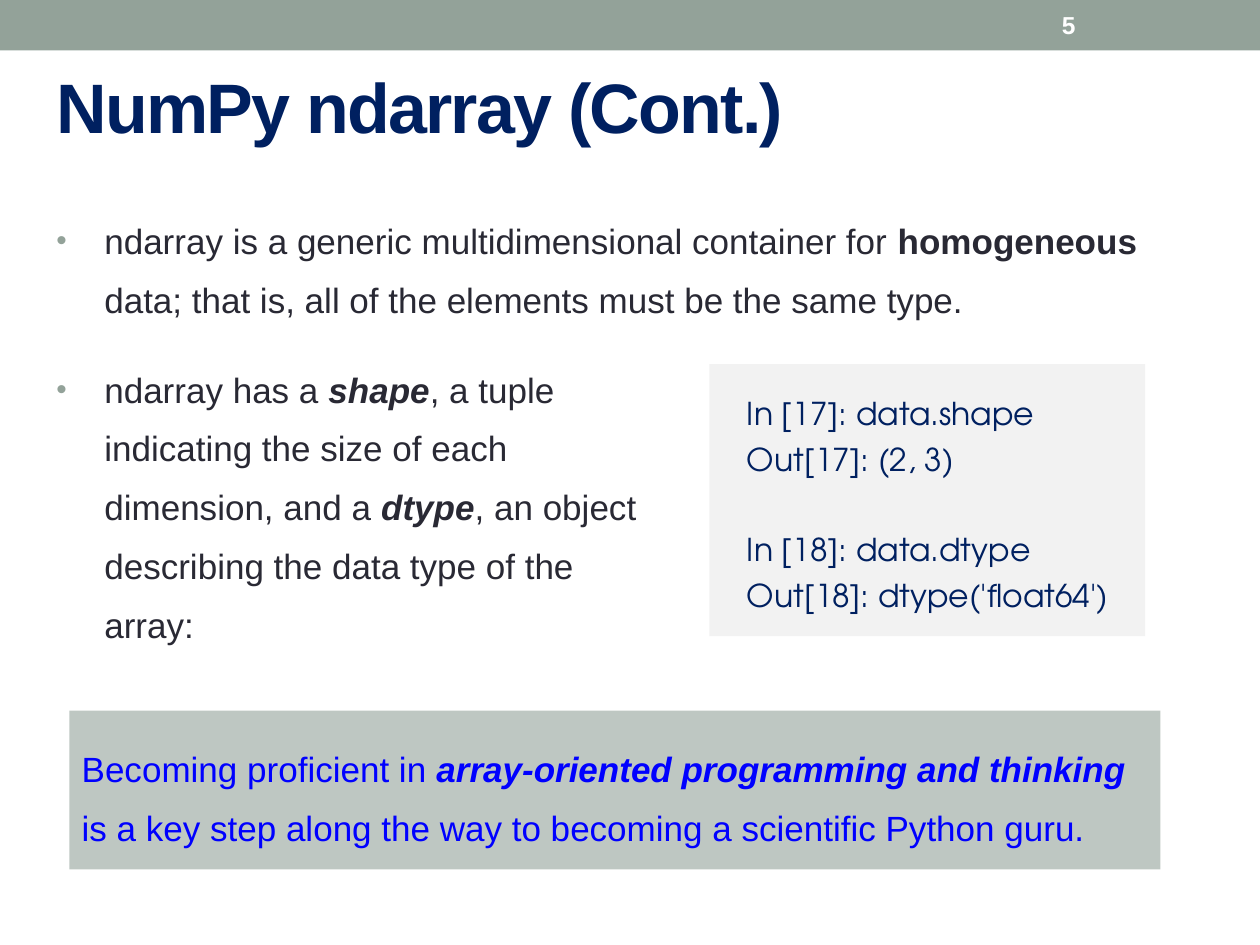
"""Build the NumPy ndarray slide with bullets, a code panel and a takeaway."""
from lxml.etree import SubElement
from pptx import Presentation
from pptx.dml.color import RGBColor
from pptx.enum.shapes import MSO_SHAPE
from pptx.enum.text import MSO_ANCHOR, PP_ALIGN
from pptx.oxml.ns import qn
from pptx.util import Inches, Pt

SAGE = RGBColor(0x93, 0xA2, 0x99)
PALE_SAGE = RGBColor(0xBE, 0xC7, 0xC2)
PALE_GRAY = RGBColor(0xF2, 0xF2, 0xF2)
NAVY = RGBColor(0x00, 0x20, 0x60)
INK = RGBColor(0x29, 0x29, 0x34)
BLUE = RGBColor(0x00, 0x00, 0xFF)
WHITE = RGBColor(0xFF, 0xFF, 0xFF)

TITLE = [("NumPy ndarray (Cont.)", "b")]
PAGE_NUMBER = [("5", "b")]
BULLETS = [
    ((0.35, 1.56, 9.06, 1.1), [
        ("ndarray is a generic multidimensional container for ", ""),
        ("homogeneous", "b"),
        (" data; that is, all of the elements must be the same type.", ""),
    ]),
    ((0.35, 2.74, 4.96, 2.46), [
        ("ndarray has a ", ""),
        ("shape", "bi"),
        (", a tuple indicating the size of each dimension, and a ", ""),
        ("dtype", "bi"),
        (", an object describing the data type of the array:", ""),
    ]),
]
CODE = [
    ("In [17]: data.shape", 0),
    ("Out[17]: (2, 3)", 0),
    ("In [18]: data.dtype", 26),
    ("Out[18]: dtype('float64')", 0),
]
TAKEAWAY = [
    ("Becoming proficient in ", ""),
    ("array-oriented programming and thinking ", "bi"),
    ("is a key step along the way to becoming a scientific Python guru.", ""),
]


def add_panel(page, place, color):
    panel = page.shapes.add_shape(MSO_SHAPE.RECTANGLE, *map(Inches, place))
    panel.shadow.inherit = False
    panel.fill.solid()
    panel.fill.fore_color.rgb = color
    panel.line.fill.background()
    return panel


def add_box(page, place, anchor=MSO_ANCHOR.TOP):
    box = page.shapes.add_textbox(*map(Inches, place))
    box.text_frame.word_wrap = True
    box.text_frame.vertical_anchor = anchor
    return box


def write(para, spans, size, color, font="Arial", line_spacing=None, before=0):
    para.alignment = PP_ALIGN.LEFT
    para.space_before = Pt(before)
    if line_spacing:
        para.line_spacing = line_spacing
    for text, style in spans:
        span = para.add_run()
        span.text = text
        span.font.name = font
        span.font.size = Pt(size)
        span.font.color.rgb = color
        span.font.bold = "b" in style
        span.font.italic = "i" in style


def set_indent(para, left, first=0):
    properties = para._p.get_or_add_pPr()
    properties.set("marL", str(Inches(left)))
    properties.set("indent", str(Inches(first)))
    return properties


def add_bullet(para):
    properties = set_indent(para, 0.38, -0.38)
    color = SubElement(properties, qn("a:buClr"))
    SubElement(color, qn("a:srgbClr"), val=str(SAGE))
    SubElement(properties, qn("a:buSzPct"), val="85000")
    SubElement(properties, qn("a:buFont"), typeface="Arial")
    SubElement(properties, qn("a:buChar"), char="•")


def main():
    deck = Presentation()
    deck.slide_width, deck.slide_height = Inches(10), Inches(7.5)
    page = deck.slides.add_slide(deck.slide_layouts[6])

    add_panel(page, (0, 0, 10, 0.4), SAGE)

    title = add_box(page, (0.35, 0.44, 9, 0.79), MSO_ANCHOR.MIDDLE)
    title_para = title.text_frame.paragraphs[0]
    write(title_para, TITLE, 40, NAVY)
    title_para.runs[0].font._element.set("spc", "-100")

    number = add_box(page, (8.33, 0.02, 1.17, 0.36), MSO_ANCHOR.MIDDLE)
    write(number.text_frame.paragraphs[0], PAGE_NUMBER, 14, WHITE)

    for place, spans in BULLETS:
        para = add_box(page, place).text_frame.paragraphs[0]
        write(para, spans, 20, INK, line_spacing=1.4, before=12)
        add_bullet(para)

    code_frame = add_panel(page, (5.63, 2.89, 3.46, 2.16), PALE_GRAY).text_frame
    for index, (line, before) in enumerate(CODE):
        para = code_frame.add_paragraph() if index else code_frame.paragraphs[0]
        write(para, [(line, "")], 18, NAVY, "TeX Gyre Adventor", 1.2, before)
        set_indent(para, 0.2)

    takeaway = add_panel(page, (0.55, 5.64, 8.66, 1.26), PALE_SAGE)
    write(takeaway.text_frame.paragraphs[0], TAKEAWAY, 20, BLUE,
          line_spacing=1.4, before=12)

    deck.save("out.pptx")


if __name__ == "__main__":
    main()
